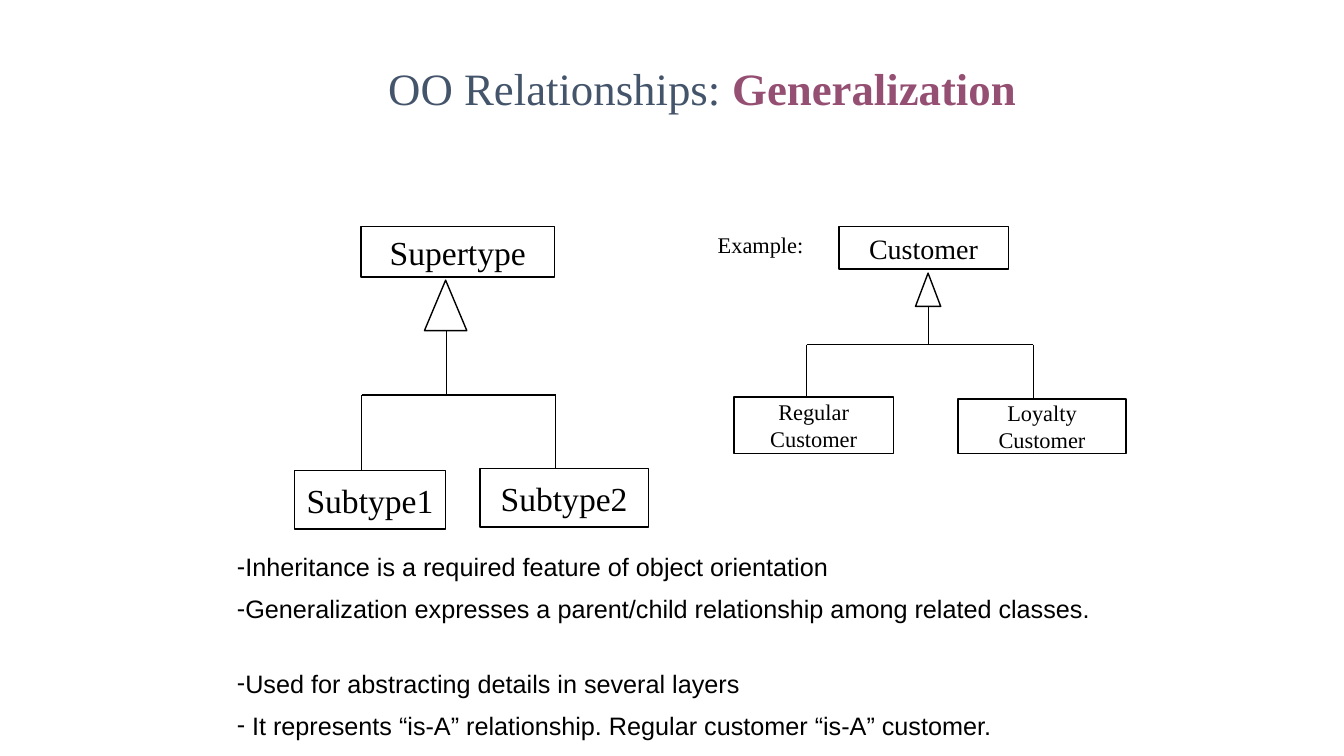
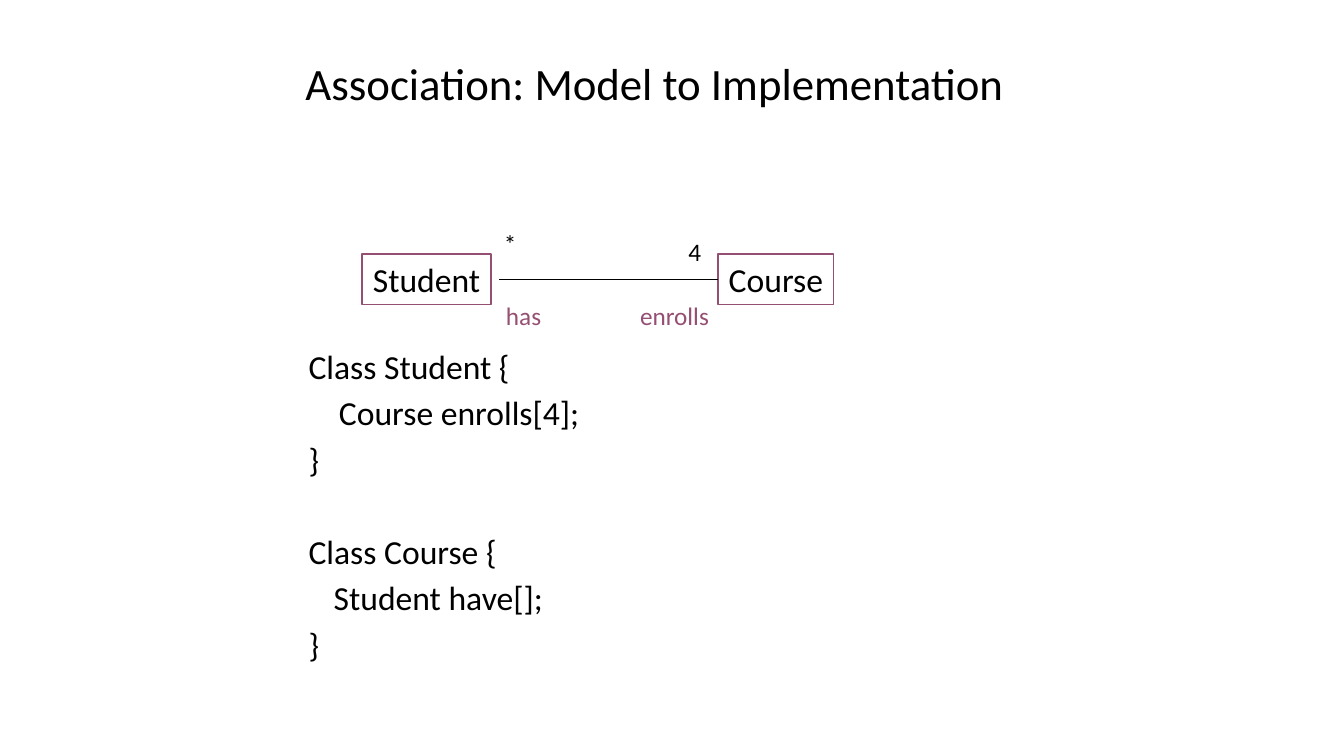
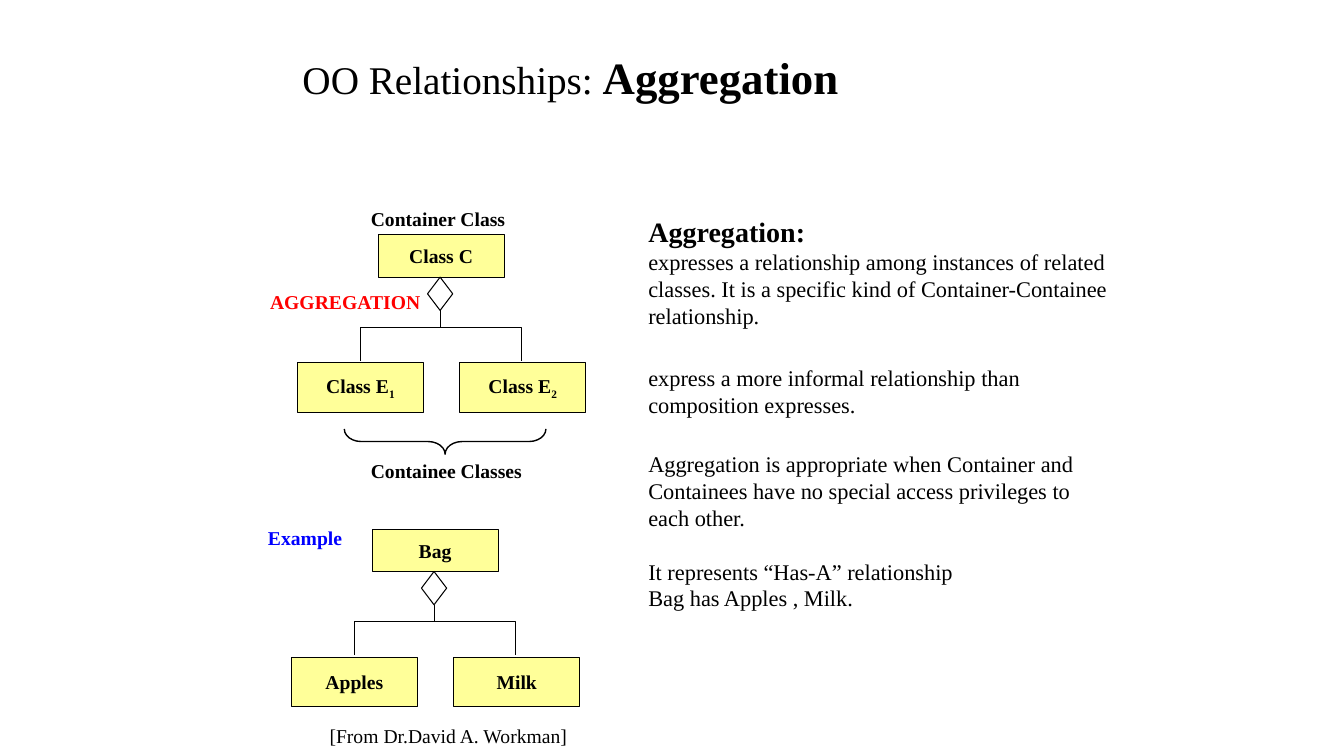
from dataclasses import dataclass

from lxml.etree import SubElement
from pptx import Presentation
from pptx.dml.color import RGBColor
from pptx.enum.shapes import MSO_CONNECTOR, MSO_SHAPE as SHAPE
from pptx.enum.text import MSO_ANCHOR as ANCHOR, MSO_AUTO_SIZE as AUTO_SIZE, PP_ALIGN as ALIGN
from pptx.oxml.ns import qn
from pptx.util import Inches, Pt


@dataclass(frozen=True)
class Theme:
    serif: str = "Times New Roman"
    sans: str = "Arial"
    humanist: str = "Calibri"
    black: RGBColor = RGBColor(0, 0, 0)
    slate: RGBColor = RGBColor(0x44, 0x54, 0x6A)
    plum: RGBColor = RGBColor(0x95, 0x4F, 0x72)
    red: RGBColor = RGBColor(0xFF, 0, 0)
    blue: RGBColor = RGBColor(0, 0, 0xFF)
    yellow: RGBColor = RGBColor(0xFF, 0xFF, 0x99)
    title: int = 32
    small_title: int = 28
    large: int = 24
    heading: int = 20
    medium: int = 18
    text: int = 16
    small: int = 14
    thin: float = 0.75
    thick: float = 1


theme = Theme()


def add_item(slide, box, text="", kind=None, font=theme.serif, size=theme.small, color=theme.black,
             bold=False, line=theme.black, width=theme.thick, fill=None):
    """Add a preset shape with centred text, or a left-aligned text box if no kind is given."""
    position = [Inches(value) for value in box]
    if kind is None:
        shape = slide.shapes.add_textbox(*position)
        shape.text_frame.auto_size = AUTO_SIZE.SHAPE_TO_FIT_TEXT
    else:
        shape = slide.shapes.add_shape(kind, *position)
        shape.shadow.inherit = False
        shape.line.color.rgb = line
        shape.line.width = Pt(width)
        if fill is None:
            shape.fill.background()
        else:
            shape.fill.solid()
            shape.fill.fore_color.rgb = fill
        shape.text_frame.vertical_anchor = ANCHOR.MIDDLE
    shape.text_frame.word_wrap = False
    if text:
        shape.text_frame.text = text
        for paragraph in shape.text_frame.paragraphs:
            paragraph.alignment = ALIGN.CENTER if kind else ALIGN.LEFT
            paragraph.font.name = font
            paragraph.font.size = Pt(size)
            paragraph.font.bold = bold
            paragraph.font.color.rgb = color
    return shape


def add_line(slide, x1, y1, x2, y2, width=theme.thin):
    line = slide.shapes.add_connector(
        MSO_CONNECTOR.STRAIGHT, Inches(x1), Inches(y1), Inches(x2), Inches(y2))
    line.line.color.rgb = theme.black
    line.line.width = Pt(width)
    SubElement(line._element.spPr, qn("a:effectLst"))
    return line


presentation = Presentation()
presentation.slide_width = Inches(13.33)
presentation.slide_height = Inches(7.5)

# Title runs: text, size, colour, bold
# Body rows: text, size, space before, left margin, first-line indent
pages = [
    dict(
        title_box=(3.75, 0.59, 6.73, 0.63), title_font=theme.serif,
        title=[("OO Relationships: ", theme.title, theme.slate, False),
               ("Generalization", theme.title, theme.plum, True)],
        body_box=(2.25, 5.42, 8.67, 1.95), body_font=theme.sans, spacing=1.0, bullet="-",
        body=[
            ("Inheritance is a required feature of object orientation", theme.medium, 0, 0, 0),
            ("Generalization expresses a parent/child relationship among related classes.",
             theme.medium, 8.5, 0, 0),
            ("Used for abstracting details in several layers", theme.medium, 31.5, 0, 0),
            ("It represents “is-A” relationship. Regular customer “is-A” customer.",
             theme.medium, 8.5, 0.15, -0.15),
        ]),
    dict(
        title_box=(2.93, 0.23, 8.52, 1.24), title_font=theme.humanist,
        title=[("Association: Model to Implementation", theme.title, theme.black, False)],
        body_box=(2.96, 3.46, 8.42, 3.25), body_font=theme.humanist, spacing=0.8, bullet=None,
        body=[
            ("Class Student {", theme.large, 0, 0.25, -0.25),
            ("    Course enrolls[4];", theme.large, 10, 0.25, -0.25),
            ("}", theme.large, 10, 0.25, -0.25),
            ("Class Course {", theme.large, 43, 0.25, -0.25),
            ("\tStudent have[];", theme.large, 10, 0.25, -0.25),
            ("}", theme.large, 10, 0.25, -0.25),
        ]),
    dict(
        title_box=(2.9, 0.5, 8.5, 0.58), title_font=theme.serif,
        title=[("OO Relationships: ", theme.small_title, theme.black, False),
               ("Aggregation", theme.title, theme.black, True)],
        body_box=(6.33, 2.08, 4.83, 4.07), body_font=theme.serif, spacing=1.0, bullet=None,
        body=[
            ("Aggregation:", theme.heading, 0, 0, 0),
            ("expresses a relationship among instances of related classes. "
             "It is a specific kind of Container-Containee relationship.", theme.text, 0, 0, 0),
            ("express a more informal relationship than composition expresses.",
             theme.text, 25, 0, 0),
            ("Aggregation is appropriate when Container and Containees have no special "
             "access privileges to each other.", theme.text, 23.5, 0, 0),
            ("It represents “Has-A” relationship", theme.text, 19, 0, 0),
            ("Bag has Apples , Milk.", theme.text, 0, 0, 0),
        ]),
]

for page in pages:
    slide = presentation.slides.add_slide(presentation.slide_layouts[1])
    title, body = slide.shapes.title, slide.placeholders[1]
    for placeholder, box in ((title, page["title_box"]), (body, page["body_box"])):
        placeholder.left, placeholder.top, placeholder.width, placeholder.height = map(Inches, box)
        placeholder.text_frame.word_wrap = True
        placeholder.text_frame.auto_size = AUTO_SIZE.NONE
    title.text_frame.vertical_anchor = ANCHOR.MIDDLE

    paragraph = title.text_frame.paragraphs[0]
    paragraph.alignment = ALIGN.LEFT
    paragraph.line_spacing = 0.9
    paragraph.font.name = page["title_font"]
    for text, size, color, bold in page["title"]:
        run = paragraph.add_run()
        run.text = text
        run.font.size = Pt(size)
        run.font.color.rgb = color
        run.font.bold = bold

    body.text_frame.text = "\n".join(row[0] for row in page["body"])
    for paragraph, row in zip(body.text_frame.paragraphs, page["body"]):
        text, size, space_before, margin, indent = row
        properties = paragraph._p.get_or_add_pPr()
        properties.set("marL", str(Inches(margin)))
        properties.set("indent", str(Inches(indent)))
        if page["bullet"]:
            SubElement(properties, qn("a:buChar")).set("char", page["bullet"])
        else:
            SubElement(properties, qn("a:buNone"))
        paragraph.line_spacing = page["spacing"]
        paragraph.space_before = Pt(space_before)
        paragraph.font.name = page["body_font"]
        paragraph.font.size = Pt(size)
        paragraph.font.bold = size == theme.heading
        paragraph.font.color.rgb = theme.black

generalization, association, aggregation = presentation.slides

# Generalization: a parent, a triangle, and a bar with a branch to each child
hierarchies = [
    dict(parent=("Supertype", (3.58, 2.25, 1.92, 0.5), theme.large),
         triangle=(4.21, 2.78, 0.42, 0.5), stem=4.43, bar=3.92,
         children=[("Subtype1", (2.92, 4.67, 1.5, 0.58), theme.large, 3.59),
                   ("Subtype2", (4.76, 4.65, 1.67, 0.58), theme.large, 5.51)]),
    dict(parent=("Customer", (8.32, 2.25, 1.68, 0.42), theme.heading),
         triangle=(9.08, 2.71, 0.25, 0.33), stem=9.21, bar=3.42,
         children=[("Regular\nCustomer", (7.28, 3.94, 1.58, 0.56), theme.text, 8),
                   ("Loyalty\nCustomer", (9.5, 3.96, 1.67, 0.54), theme.text, 10.25)]),
]
for hierarchy in hierarchies:
    text, box, size = hierarchy["parent"]
    add_item(generalization, box, text, SHAPE.RECTANGLE, size=size)
    triangle, stem, bar = hierarchy["triangle"], hierarchy["stem"], hierarchy["bar"]
    add_item(generalization, triangle, kind=SHAPE.ISOSCELES_TRIANGLE)
    add_line(generalization, stem, triangle[1] + triangle[3], stem, bar)
    for text, box, size, branch in hierarchy["children"]:
        add_item(generalization, box, text, SHAPE.RECTANGLE, size=size)
        add_line(generalization, branch, bar, branch, box[1])
    left, right = [child[3] for child in hierarchy["children"]]
    add_line(generalization, left, bar, right, bar, theme.thick)
add_item(generalization, (7.02, 2.24, 1.15, 0.37), "Example:", size=theme.text)

# Association: two classes, the line between them and its labels
for text, left, width in (("Student", 3.59, 1.28), ("Course", 7.12, 1.15)):
    course = add_item(association, (left, 2.52, width, 0.5), text, SHAPE.RECTANGLE,
                      theme.humanist, theme.large, line=theme.plum)
add_line(association, 4.95, 2.77, 7.12, 2.77).end_connect(course, 1)
for text, box, color in (
        ("enrolls", (6.25, 2.93, 0.92, 0.4), theme.plum),
        ("has", (4.92, 2.93, 0.55, 0.4), theme.plum),
        ("*", (4.9, 2.22, 0.34, 0.4), theme.black),
        ("4", (6.73, 2.3, 0.34, 0.4), theme.black)):
    add_item(association, box, text, font=theme.humanist, size=theme.medium, color=color)

# Aggregation: the same tree twice, each child with an optional subscript
for x, y, container, containees in (
        (2.95, 2.33, "Class C", (("Class E", "1"), ("Class E", "2"))),
        (2.89, 5.25, "Bag", (("Apples", ""), ("Milk", "")))):
    add_item(aggregation, (x + 0.8, y, 1.25, 0.42), container, SHAPE.RECTANGLE,
             bold=True, width=theme.thin, fill=theme.yellow)
    for column, (text, subscript) in enumerate(containees):
        child = add_item(aggregation, (x + 1.61 * column, y + 1.27, 1.25, 0.49), text,
                         SHAPE.RECTANGLE, bold=True, width=theme.thin, fill=theme.yellow)
        if subscript:
            run = child.text_frame.paragraphs[0].add_run()
            run.text = subscript
            run._r.get_or_add_rPr().set("baseline", "-25000")
    builder = aggregation.shapes.build_freeform(Inches(x + 0.63), Inches(y + 1.25))
    builder.add_line_segments(
        [(Inches(x + across), Inches(y + down))
         for across, down in ((0.63, 0.92), (2.22, 0.92), (2.22, 1.25))], close=False)
    fork = builder.convert_to_shape()
    fork.shadow.inherit = False
    fork.fill.background()
    fork.line.color.rgb = theme.black
    fork.line.width = Pt(theme.thin)
    add_item(aggregation, (x + 1.29, y + 0.42, 0.25, 0.33), kind=SHAPE.DIAMOND, width=theme.thin)
    add_line(aggregation, x + 1.42, y + 0.75, x + 1.42, y + 0.92)

brace = add_item(aggregation, (4.29, 3.38, 0.25, 2), kind=SHAPE.LEFT_BRACE)
brace.rotation = 270
brace.adjustments[0] = 0.67
for text, box, color in (
        ("AGGREGATION", (2.58, 2.83, 1.7, 0.33), theme.red),
        ("Container Class", (3.58, 2, 1.54, 0.33), theme.black),
        ("Containee Classes", (3.58, 4.5, 1.7, 0.33), theme.black),
        ("Example", (2.56, 5.17, 0.94, 0.33), theme.blue)):
    add_item(aggregation, box, text, color=color, bold=True)
citation = add_item(aggregation, (3.17, 7.13, 2.94, 0.33), "[From Dr.David A. Workman]")
citation.text_frame.word_wrap = True

presentation.save("out.pptx")
